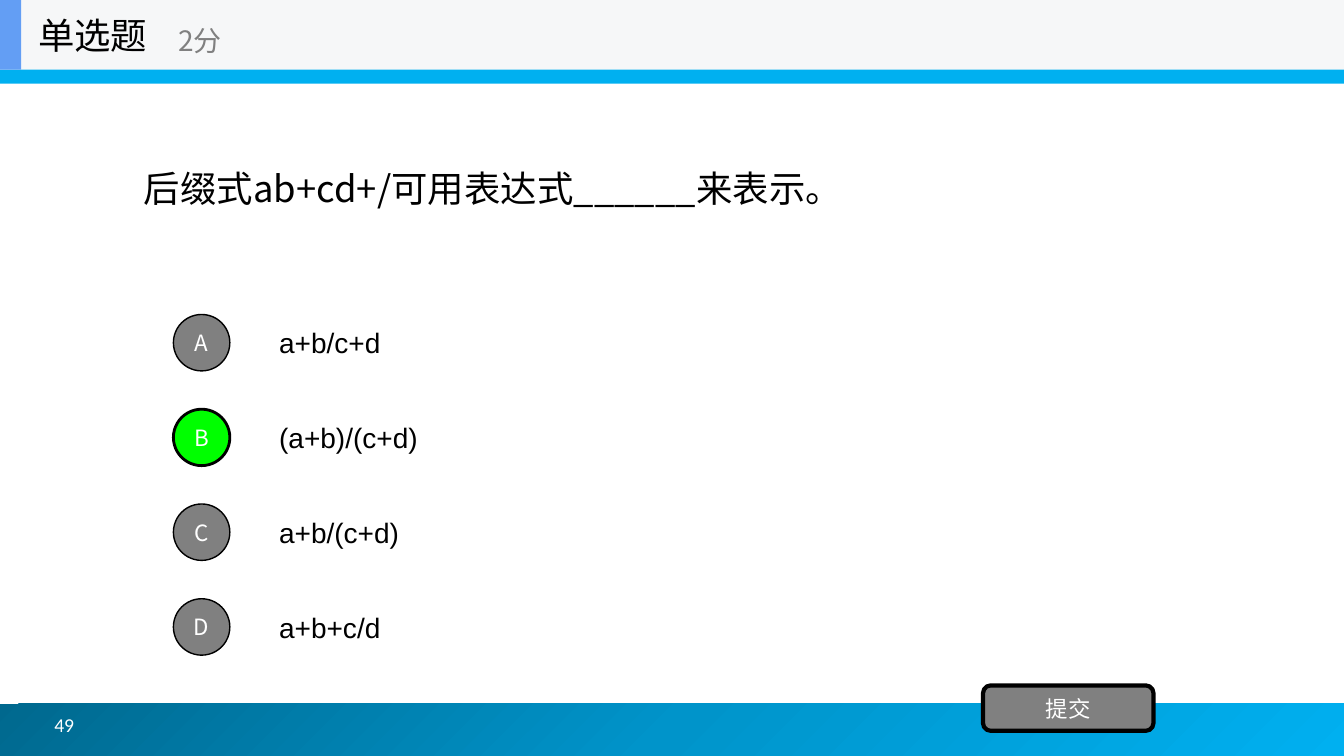
from copy import deepcopy

from lxml import etree
from pptx import Presentation
from pptx.dml.color import RGBColor
from pptx.enum.shapes import MSO_SHAPE as Shape
from pptx.enum.text import MSO_ANCHOR as Anchor, PP_ALIGN as Align
from pptx.oxml.ns import qn
from pptx.util import Inches, Pt

CJK_FONT = "Noto Sans CJK SC"
BLACK, WHITE, GREY, GREEN = "000000", "FFFFFF", "808080", "00FF00"
SKY = "00B0F0"
FOOTER_COLOURS = ("00688E", "0094CA", SKY)

OPTIONS = (("A", "a+b/c+d"), ("B", "(a+b)/(c+d)"), ("C", "a+b/(c+d)"), ("D", "a+b+c/d"))
CORRECT = "B"
OPTION_TOP, OPTION_PITCH, OPTION_HEIGHT = 3.05, 0.94, 0.7
BADGE_SIZE = 0.56


def colour(value):
    return RGBColor.from_string(value)


def write_text(shape, text, size=16, font=CJK_FONT, ink=BLACK, align=Align.LEFT, wrap=True):
    frame = shape.text_frame
    frame.word_wrap = wrap
    frame.vertical_anchor = Anchor.MIDDLE
    para = frame.paragraphs[0]
    para.alignment = align
    span = para.add_run()
    span.text = text
    span.font.size = Pt(size)
    span.font.color.rgb = colour(ink)
    span.font.name = font
    etree.SubElement(span.font._element, qn("a:ea"), typeface=font)


def add_text(page, text, left, top, width, height, **text_format):
    box = page.shapes.add_textbox(Inches(left), Inches(top), Inches(width), Inches(height))
    write_text(box, text, **text_format)


def add_block(page, kind, left, top, width, height, fill=None, line_width=0):
    block = page.shapes.add_shape(kind, Inches(left), Inches(top), Inches(width), Inches(height))
    block.shadow.inherit = False
    if fill:
        block.fill.solid()
        block.fill.fore_color.rgb = colour(fill)
    if line_width:
        block.line.color.rgb = colour(BLACK)
        block.line.width = Pt(line_width)
    else:
        block.line.fill.background()
    return block


def add_button(page, kind, text, left, top, width, height, fill, line_width):
    button = add_block(page, kind, left, top, width, height, fill, line_width)
    write_text(button, text, ink=WHITE, align=Align.CENTER, wrap=False)


def add_footer(page):
    footer = add_block(page, Shape.RECTANGLE, -0.05, 6.98, 13.39, 0.52)
    footer.fill.gradient()
    footer.fill.gradient_angle = 315
    first_stop = footer.fill.gradient_stops[0]._gs
    first_stop.addnext(deepcopy(first_stop))
    for index, (stop, value) in enumerate(zip(footer.fill.gradient_stops, FOOTER_COLOURS)):
        stop.position = index / 2
        stop.color.rgb = colour(value)
    add_text(page, "49", 0.44, 6.94, 2.89, 0.5, size=14, font="Calibri", ink=WHITE)


def add_header(page):
    add_block(page, Shape.RECTANGLE, -0.02, 0.02, 13.36, 0.81, SKY)
    add_block(page, Shape.RECTANGLE, 0, 0, 13.33, 0.69, "F6F7F8")
    add_block(page, Shape.RECTANGLE, 0, 0, 0.21, 0.69, "639EF4")
    add_text(page, "单选题", 0.28, 0, 2.08, 0.69, size=26)
    add_text(page, "2分", 1.67, 0.12, 2.5, 0.56, size=20, ink=GREY)


def add_option(page, index, letter, answer):
    top = OPTION_TOP + index * OPTION_PITCH
    badge_top = top + (OPTION_HEIGHT - BADGE_SIZE) / 2
    fill, line_width = (GREEN, 2) if letter == CORRECT else (GREY, 1)
    add_text(page, answer, 2.67, top, 9.33, OPTION_HEIGHT, size=20, font="Arial")
    add_button(page, Shape.OVAL, letter, 1.72, badge_top, BADGE_SIZE, BADGE_SIZE, fill, line_width)


def main():
    deck = Presentation()
    deck.slide_width, deck.slide_height = Inches(13.33), Inches(7.5)
    page = deck.slides.add_slide(deck.slide_layouts[6])
    add_footer(page)
    add_header(page)
    add_text(page, "后缀式ab+cd+/可用表达式______来表示。", 1.33, 0.69, 10.67, 2.34, size=26)
    for index, (letter, answer) in enumerate(OPTIONS):
        add_option(page, index, letter, answer)
    add_button(page, Shape.ROUNDED_RECTANGLE, "提交", 9.75, 6.8, 1.69, 0.45, GREY, 3)
    deck.save("out.pptx")


if __name__ == "__main__":
    main()
